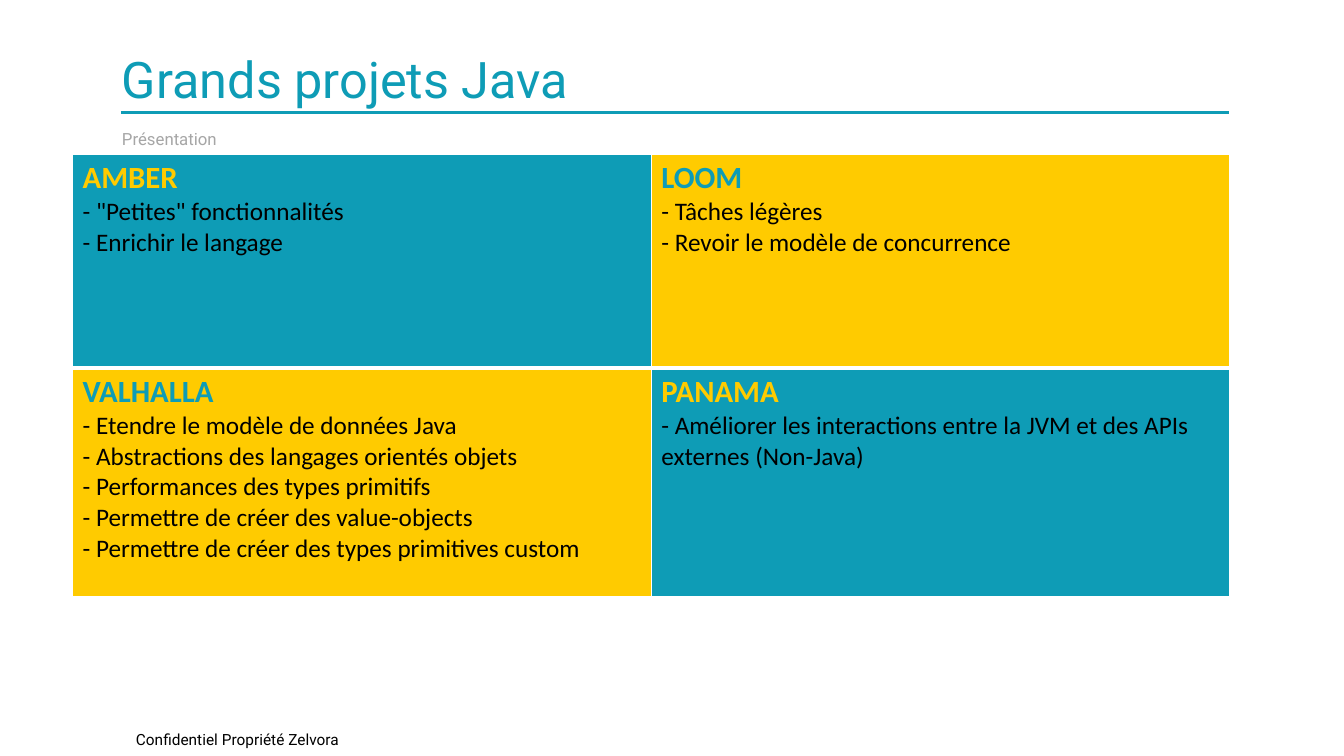
"""Builds the slide of the four great Java projects as a two-by-two table."""
from dataclasses import dataclass

from lxml import etree
from pptx import Presentation
from pptx import util as u
from pptx.dml import color
from pptx.enum import shapes, text
from pptx.oxml import ns


@dataclass(frozen=True)
class Theme:
    """Colours, fonts and text formats of the slide."""
    teal: str = "0E9CB6"
    yellow: str = "FFCB00"
    grey: str = "A6A6A6"
    black: str = "000000"
    white: str = "FFFFFF"
    heading_font: str = "Roboto"
    table_font: str = "Calibri"
    title_size: int = 36
    subtitle_size: int = 12
    footer_size: int = 11
    project_size: int = 22
    point_size: int = 18
    rule_width: float = 2.25
    thin_border: float = 0.96
    thick_border: float = 3


THEME = Theme()

PROJECTS = [
    [
        ("AMBER", ['- "Petites" fonctionnalités', "- Enrichir le langage"]),
        ("LOOM", ["- Tâches légères", "- Revoir le modèle de concurrence"]),
    ],
    [
        ("VALHALLA", [
            "- Etendre le modèle de données Java",
            "- Abstractions des langages orientés objets",
            "- Performances des types primitifs",
            "- Permettre de créer des value-objects",
            "- Permettre de créer des types primitives custom",
        ]),
        ("PANAMA", [
            "- Améliorer les interactions entre la JVM et des APIs externes (Non-Java)",
        ]),
    ],
]


def apply_format(target, values):
    """Set each attribute of the target from a dict of format values."""
    for name, value in values.items():
        setattr(target, name, value)


def write(paragraph, words, font, size, colour, bold=False):
    """Write one formatted run in a left-aligned paragraph."""
    apply_format(paragraph, {"alignment": text.PP_ALIGN.LEFT, "space_before": u.Pt(0)})
    run = paragraph.add_run()
    run.text = words
    apply_format(run.font, {"name": font, "size": u.Pt(size), "bold": bold})
    run.font.color.rgb = color.RGBColor.from_string(colour)


def place_line(shape, box, words, size, colour):
    """Move a text shape to its box and write its single line at the top."""
    left, top, width, height = map(u.Inches, box)
    apply_format(shape, {"left": left, "top": top, "width": width, "height": height})
    frame = shape.text_frame
    apply_format(frame, {
        "word_wrap": True,
        "auto_size": text.MSO_AUTO_SIZE.NONE,
        "vertical_anchor": text.MSO_ANCHOR.TOP,
    })
    write(frame.paragraphs[0], words, THEME.heading_font, size, colour)


def add_header(slide, box):
    """Place the title, its rule and the subtitle in the header box."""
    left, top, width, height = box
    rule_left, rule_top = left + 0.09, top + 0.69
    rule = slide.shapes.add_connector(
        shapes.MSO_CONNECTOR.STRAIGHT, u.Inches(rule_left), u.Inches(rule_top),
        u.Inches(left + width), u.Inches(rule_top))
    rule.line.width = u.Pt(THEME.rule_width)
    rule.line.color.rgb = color.RGBColor.from_string(THEME.teal)
    etree.SubElement(rule._element.spPr, ns.qn("a:effectLst"))

    place_line(slide.shapes.title, (left, top, width, 0.77), "Grands projets Java",
               THEME.title_size, THEME.teal)
    subtitle = slide.placeholders[1]
    place_line(subtitle, (left, top + height - 0.35, width, 0.35), "Présentation",
               THEME.subtitle_size, THEME.grey)
    properties = subtitle.text_frame.paragraphs[0]._p.get_or_add_pPr()
    properties.set("marL", "0")
    properties.set("indent", "0")
    etree.SubElement(properties, ns.qn("a:buNone"))


def add_borders(cell, widths):
    """Draw white borders on a cell, with one width for each side."""
    properties = cell._tc.get_or_add_tcPr()
    for side, width in widths.items():
        line = etree.SubElement(properties, ns.qn(f"a:ln{side}"), w=str(u.Pt(width)))
        fill = etree.SubElement(line, ns.qn("a:solidFill"))
        etree.SubElement(fill, ns.qn("a:srgbClr"), val=THEME.white)


def fill_cell(cell, project, points, background, accent):
    """Colour a cell and write the project name above its points."""
    cell.fill.solid()
    cell.fill.fore_color.rgb = color.RGBColor.from_string(background)
    frame = cell.text_frame
    write(frame.paragraphs[0], project, THEME.table_font, THEME.project_size, accent, True)
    for point in points:
        write(frame.add_paragraph(), point, THEME.table_font, THEME.point_size, THEME.black)


def add_projects(slide, box, row_heights):
    """Place the table of projects in a checkerboard of two colours."""
    table = slide.shapes.add_table(
        len(PROJECTS), len(PROJECTS[0]), *map(u.Inches, box)).table
    apply_format(table, {"first_row": False, "horz_banding": False})
    for row, height in zip(table.rows, row_heights):
        row.height = u.Inches(height)
    for row_index, row in enumerate(PROJECTS):
        widths = dict.fromkeys("LRTB", THEME.thin_border)
        widths["T" if row_index else "B"] = THEME.thick_border
        for column_index, (project, points) in enumerate(row):
            colours = [THEME.teal, THEME.yellow]
            if (row_index + column_index) % 2:
                colours.reverse()
            cell = table.cell(row_index, column_index)
            add_borders(cell, widths)
            fill_cell(cell, project, points, *colours)


def add_footer(slide, box):
    """Place the confidentiality notice in the footer box."""
    notice = slide.shapes.add_textbox(*map(u.Inches, box))
    place_line(notice, box, "Confidentiel Propriété Zelvora",
               THEME.footer_size, THEME.black)


def main():
    """Build the slide and save the presentation."""
    presentation = Presentation()
    apply_format(presentation, {
        "slide_width": u.Inches(13.33), "slide_height": u.Inches(7.5)})
    slide = presentation.slides.add_slide(presentation.slide_layouts[1])
    add_header(slide, (1.11, 0.43, 11.08, 1.15))
    add_projects(slide, (0.72, 1.53, 11.48, 4.39), (2.12, 2.27))
    add_footer(slide, (1.25, 7.19, 2.26, 0.46))
    presentation.save("out.pptx")


if __name__ == "__main__":
    main()
